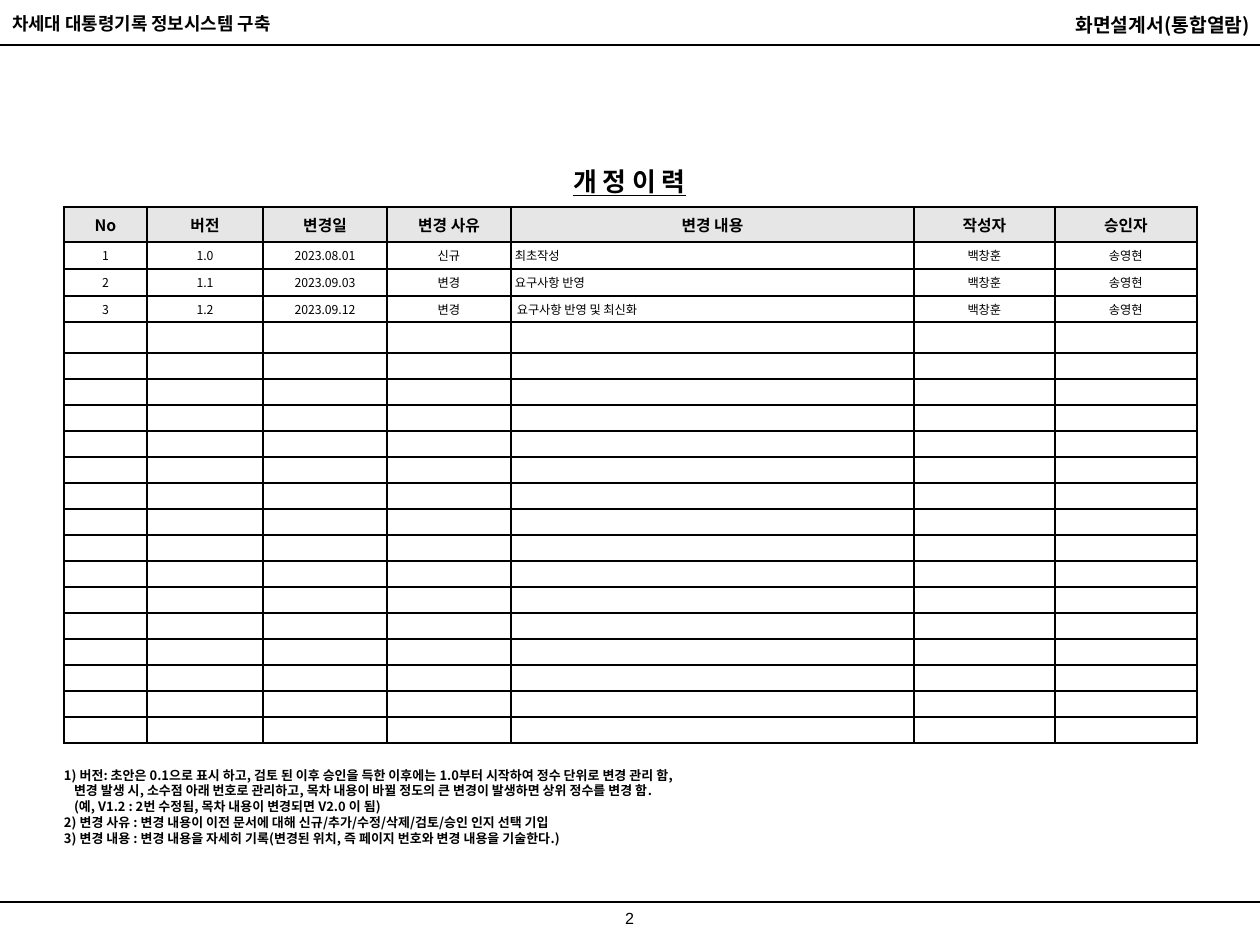
from lxml import etree
from pptx import Presentation
from pptx.dml.color import RGBColor
from pptx.enum.shapes import MSO_CONNECTOR as Connector
from pptx.enum.text import MSO_ANCHOR as Anchor, PP_ALIGN as Align
from pptx.oxml.ns import qn
from pptx.util import Pt

PX = 914400 / 126
KOREAN = "Noto Sans CJK KR"
BLACK, HEADER_GREY = "000000", "E6E6E6"


def px(length):
    return round(length * PX)


def write(frame, text, size=7, bold=False, underline=False, font=KOREAN,
          align=Align.LEFT, side=12, leading=None, indented=()):
    """Fill a text frame, one paragraph per line of text."""
    frame.word_wrap = True
    frame.vertical_anchor = Anchor.MIDDLE
    frame.margin_left = frame.margin_right = px(side)
    frame.margin_top = frame.margin_bottom = 0
    for i, line in enumerate(text.split("\n")):
        para = frame.paragraphs[0] if i == 0 else frame.add_paragraph()
        para.alignment = align
        if leading:
            para.line_spacing = Pt(leading)
        if i in indented:
            para._p.get_or_add_pPr().set("marL", str(px(10)))
        run = para.add_run()
        run.text = line
        run.font.size, run.font.bold = Pt(size), bold
        run.font.underline = underline
        run.font.name = font
        run.font.color.rgb = RGBColor.from_string(BLACK)
        east_asian = etree.SubElement(run.font._element, qn("a:ea"))
        east_asian.set("typeface", font)


prs = Presentation()
prs.slide_width, prs.slide_height = px(1260), px(945)
slide = prs.slides.add_slide(prs.slide_layouts[6])

# Rules under the header and above the footer
for y in (45, 902):
    rule = slide.shapes.add_connector(Connector.STRAIGHT, 0, px(y), px(1260), px(y))
    rule.line.color.rgb = RGBColor.from_string(BLACK)
    rule.line.width = Pt(1.5)
    etree.SubElement(rule._element.spPr, qn("a:effectLst"))

# Revision table
columns = [83, 116, 124, 124, 403, 141, 142]
heights = [35, 27, 27, 26, 31] + [26] * 15
revisions = [
    ["No", "버전", "변경일", "변경 사유", "변경 내용", "작성자", "승인자"],
    ["1", "1.0", "2023.08.01", "신규", "최초작성", "백창훈", "송영현"],
    ["2", "1.1", "2023.09.03", "변경", "요구사항 반영", "백창훈", "송영현"],
    ["3", "1.2", "2023.09.12", "변경", "요구사항 반영 및 최신화", "백창훈", "송영현"],
]
DESCRIPTION = 4

table = slide.shapes.add_table(len(heights), len(columns), px(64), px(207),
                               px(sum(columns)), px(sum(heights))).table
table.first_row = table.horz_banding = False
for column, width in zip(table.columns, columns):
    column.width = px(width)
for r, height in enumerate(heights):
    table.rows[r].height = px(height)
    for c in range(len(columns)):
        cell = table.cell(r, c)
        # Borders go before the fill in the cell properties
        props = cell._tc.get_or_add_tcPr()
        for side in ("lnL", "lnR", "lnT", "lnB"):
            border = etree.SubElement(props, qn("a:" + side), w=str(Pt(1)))
            ink = etree.SubElement(border, qn("a:solidFill"))
            etree.SubElement(ink, qn("a:srgbClr"), val=BLACK)
        if r == 0:
            cell.fill.solid()
            cell.fill.fore_color.rgb = RGBColor.from_string(HEADER_GREY)
        else:
            cell.fill.background()
        cell.margin_left = cell.margin_right = px(4)
        cell.margin_top = cell.margin_bottom = 0
        cell.vertical_anchor = Anchor.MIDDLE
        if r < len(revisions):
            left = r > 0 and c == DESCRIPTION
            write(cell.text_frame, revisions[r][c], size=7 if r else 9, bold=r == 0,
                  align=Align.LEFT if left else Align.CENTER)
            cell.margin_left = cell.margin_right = px(6 if r == 3 else 4)
            cell.vertical_anchor = Anchor.MIDDLE
        else:
            # A small end mark keeps the empty row at its height
            end_mark = cell.text_frame.paragraphs[0]._p.get_or_add_endParaRPr()
            end_mark.set("sz", "700")

# Header, page number, title and notes
notes = "\n".join([
    "1) 버전: 초안은 0.1으로 표시 하고, 검토 된 이후 승인을 득한 이후에는 1.0부터 시작하여 정수 단위로 변경 관리 함,",
    "변경 발생 시, 소수점 아래 번호로 관리하고, 목차 내용이 바뀔 정도의 큰 변경이 발생하면 상위 정수를 변경 함.",
    "(예, V1.2 : 2번 수정됨, 목차 내용이 변경되면 V2.0 이 됨)",
    "2) 변경 사유 : 변경 내용이 이전 문서에 대해 신규/추가/수정/삭제/검토/승인 인지 선택 기입",
    "3) 변경 내용 : 변경 내용을 자세히 기록(변경된 위치, 즉 페이지 번호와 변경 내용을 기술한다.)",
])
texts = [
    ((0, 6, 523, 34), "차세대 대통령기록 정보시스템 구축", dict(size=10.2, bold=True)),
    ((739, 7, 523, 35), "화면설계서(통합열람)", dict(size=11, bold=True, align=Align.RIGHT)),
    ((571, 902, 117, 33), "2", dict(size=9.2, font="Arial", align=Align.CENTER)),
    ((48, 159, 1163, 44), "개 정 이 력",
     dict(size=14.8, bold=True, underline=True, align=Align.CENTER)),
    ((52, 761, 891, 91), notes, dict(size=7.4, bold=True, leading=9, indented=(1, 2))),
]
for box, text, style in texts:
    write(slide.shapes.add_textbox(*map(px, box)).text_frame, text, **style)

prs.save("out.pptx")
